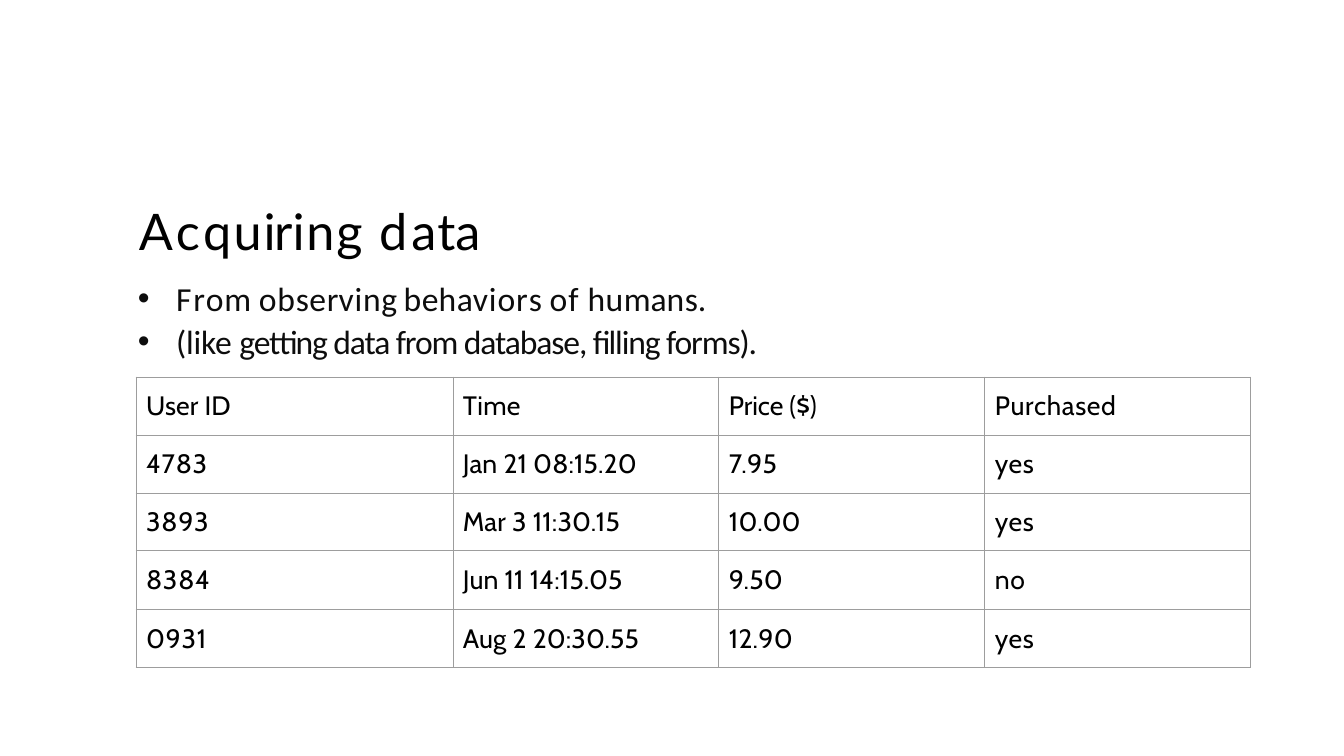
from dataclasses import dataclass
from typing import NamedTuple

from lxml.etree import SubElement
from pptx import Presentation
from pptx.dml.color import RGBColor as Color
from pptx.enum.text import MSO_ANCHOR as Anchor, MSO_AUTO_SIZE as AutoSize
from pptx.oxml.ns import qn
from pptx.util import Emu, Pt


class Span(NamedTuple):
    text: str
    spacing: float = 0


class Style(NamedTuple):
    font: str
    size: int
    color: str


class Box(NamedTuple):
    left: int
    top: int
    width: int
    height: int


@dataclass(frozen=True)
class Theme:
    title: Style = Style("Lato", 36, "000000")
    body: Style = Style("Calibri", 24, "0D0D0D")
    cell: Style = Style("Cabin", 19, "000000")
    border: str = "9D9D9D"
    border_width: float = 0.75


@dataclass(frozen=True)
class TextBlock:
    box: Box
    style: Style
    paras: list[list[Span]]
    margin: int
    indent: int = 0
    bullet: str = ""
    anchor: Anchor = Anchor.TOP


THEME = Theme()
TITLE = TextBlock(
    Box(137, 198, 347, 63), THEME.title,
    [[Span("A", 2), Span("c", 2.2), Span("q", 1.7), Span("u", 1.4), Span("ir", -1.1),
      Span("ing ", 1.3), Span("d", 2.8), Span("a", 0.7), Span("t"), Span("a", 1.6)]],
    margin=2, anchor=Anchor.MIDDLE,
)
BODY = TextBlock(
    Box(137, 276, 745, 87), THEME.body,
    [
        [Span("F", 1.3), Span("r", 0.6), Span("o", 0.7), Span("m ", -0.1),
         Span("o", 0.7), Span("b", 0.5), Span("se", 0.4), Span("r", -0.1), Span("v", 0.6),
         Span("i", 0.7), Span("n", 0.3), Span("g ", -0.8),
         Span("b", 0.5), Span("e"), Span("h", 0.3), Span("a"), Span("v", 0.6),
         Span("ior", 0.7), Span("s ", -0.1), Span("o", 0.7), Span("f ", 0.5),
         Span("hu", 0.3), Span("m", -0.1), Span("a"), Span("n", 0.3), Span("s.", -0.1)],
        [Span("(like ", -0.1), Span("getting data from database, filling forms).", -0.8)],
    ],
    margin=39, indent=-38, bullet="•",
)
TABLE_LEFT, TABLE_TOP = 136, 377
COLUMN_WIDTHS = [317, 266, 266, 266]
ROW_HEIGHTS = [58, 58, 58, 59, 58]
CELL_INDENT, CELL_TOP = 10, 13
HEADER_SPACING = [0.1, 0.3, 0, 0.5]
RECORD_SPACING = [0.6, 0.1, 0.2, 0.5]
RECORDS = [
    ["User ID", "Time", "Price ($)", "Purchased"],
    ["4783", "Jan 21 08:15.20", "7.95", "yes"],
    ["3893", "Mar 3 11:30.15", "10.00", "yes"],
    ["8384", "Jun 11 14:15.05", "9.50", "no"],
    ["0931", "Aug 2 20:30.55", "12.90", "yes"],
]


def px(length: int) -> Emu:
    return Emu(round(length * 914400 / 100.8))


def write_para(para, spans: list[Span], style: Style, margin: int, before: float,
               indent: int = 0, bullet: str = "") -> None:
    para.space_before = Pt(before)
    properties = para._p.get_or_add_pPr()
    properties.set("marL", str(px(margin)))
    properties.set("indent", str(px(indent)))
    if bullet:
        SubElement(properties, qn("a:buFont"), typeface="Arial")
        SubElement(properties, qn("a:buChar"), char=bullet)
    for span in spans:
        run = para.add_run()
        run.text = span.text
        run.font.name = style.font
        run.font.size = Pt(style.size)
        run.font.bold = False
        run.font.color.rgb = Color.from_string(style.color)
        run.font._element.set("spc", str(round(span.spacing * 100)))


def draw_text(page, block: TextBlock) -> None:
    frame = page.shapes.add_textbox(*map(px, block.box)).text_frame
    frame.word_wrap = True
    frame.auto_size = AutoSize.SHAPE_TO_FIT_TEXT
    frame.vertical_anchor = block.anchor
    frame.margin_left = frame.margin_right = frame.margin_bottom = 0
    frame.margin_top = px(2)
    for index, spans in enumerate(block.paras):
        para = frame.add_paragraph() if index else frame.paragraphs[0]
        write_para(para, spans, block.style, block.margin, 1.7, block.indent, block.bullet)


def draw_borders(cell) -> None:
    properties = cell._tc.get_or_add_tcPr()
    for position, side in enumerate(("lnL", "lnR", "lnT", "lnB")):
        line = SubElement(properties, qn(f"a:{side}"), w=str(Pt(THEME.border_width)))
        fill = SubElement(line, qn("a:solidFill"))
        SubElement(fill, qn("a:srgbClr"), val=THEME.border)
        properties.insert(position, line)


def draw_table(page) -> None:
    box = Box(TABLE_LEFT, TABLE_TOP, sum(COLUMN_WIDTHS), sum(ROW_HEIGHTS))
    table = page.shapes.add_table(
        len(RECORDS), len(COLUMN_WIDTHS), *map(px, box)
    ).table
    table.first_row = table.horz_banding = False
    for column, width in zip(table.columns, COLUMN_WIDTHS):
        column.width = px(width)
    for row, height, record in zip(table.rows, ROW_HEIGHTS, RECORDS):
        row.height = px(height)
        spacings = HEADER_SPACING if record is RECORDS[0] else RECORD_SPACING
        for cell, text, spacing in zip(row.cells, record, spacings):
            cell.margin_left = cell.margin_right = cell.margin_bottom = 0
            cell.margin_top = px(CELL_TOP)
            cell.fill.background()
            draw_borders(cell)
            write_para(cell.text_frame.paragraphs[0], [Span(text, spacing)],
                       THEME.cell, CELL_INDENT, 7.2)


def main() -> None:
    deck = Presentation()
    deck.slide_width, deck.slide_height = px(1344), px(756)
    page = deck.slides.add_slide(deck.slide_layouts[6])
    draw_text(page, TITLE)
    draw_text(page, BODY)
    draw_table(page)
    deck.save("out.pptx")


if __name__ == "__main__":
    main()
